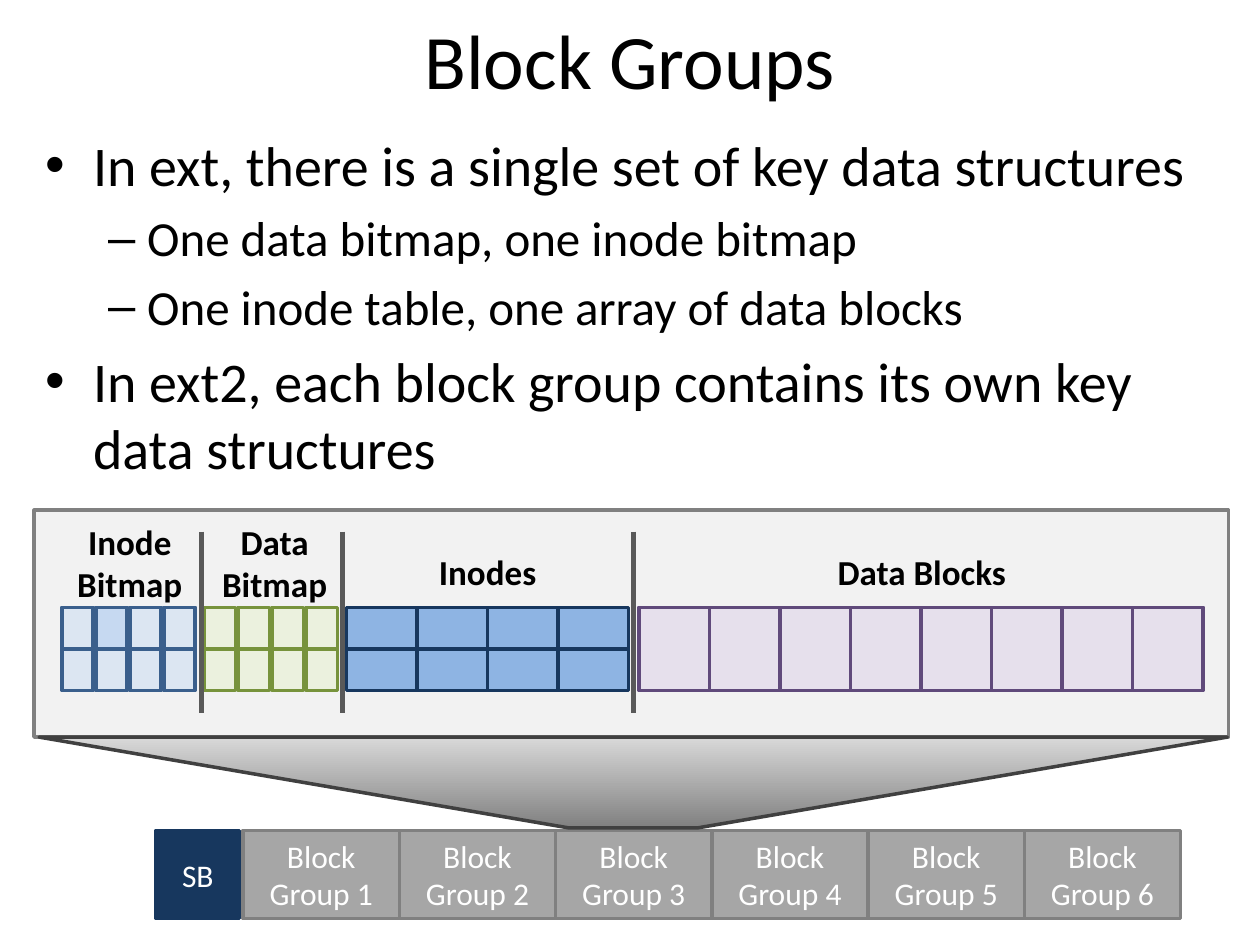
from dataclasses import dataclass
from typing import Optional

from lxml import etree
from pptx import Presentation
from pptx.dml.color import RGBColor
from pptx.enum.shapes import MSO_CONNECTOR as Connector, MSO_SHAPE as Shape
from pptx.enum.text import MSO_ANCHOR as Anchor, PP_ALIGN as Align
from pptx.oxml.ns import qn
from pptx.util import Inches, Pt

FONT = "Calibri"
COLORS = {
    "black": "000000", "white": "FFFFFF", "navy": "17375E",
    "panel": "F2F2F2", "gray": "808080", "block": "A6A6A6",
    "light_gray": "D9D9D9", "dark_gray": "404040", "divider": "595959",
    "inode_bit": "DCE6F2", "used_bit": "C6D9F1", "inode_bit_line": "3A5F8C",
    "data_bit": "EBF1DE", "data_bit_line": "77933C",
    "inode": "8EB4E3", "data": "E6E0EC", "data_line": "604A7B",
}


@dataclass
class Section:
    label: list[str]
    label_left: float
    label_top: float
    label_width: float
    left: float
    columns: int
    rows: int
    pitch: float
    cell_width: float
    fill: str
    line: str
    used_column: Optional[int] = None


@dataclass
class Bullet:
    text: str
    level: int = 0


@dataclass
class BulletStyle:
    mark: str
    size: int
    indent: float
    hanging: float


SECTIONS = [
    Section(["Inode", "Bitmap"], 0.51, 4.08, 1.04, 0.49, 4, 2, 0.27, 0.25,
            "inode_bit", "inode_bit_line", used_column=1),
    Section(["Data", "Bitmap"], 1.66, 4.08, 1.04, 1.62, 4, 2, 0.27, 0.25,
            "data_bit", "data_bit_line"),
    Section(["Inodes"], 3.38, 4.32, 0.98, 2.75, 4, 2, 0.56, 0.56, "inode", "navy"),
    Section(["Data Blocks"], 6.54, 4.32, 1.55, 5.07, 8, 1, 0.56, 0.56,
            "data", "data_line"),
]
BULLETS = [
    Bullet("In ext, there is a single set of key data structures"),
    Bullet("One data bitmap, one inode bitmap", 1),
    Bullet("One inode table, one array of data blocks", 1),
    Bullet("In ext2, each block group contains its own key data structures"),
]
BULLET_STYLES = [BulletStyle("•", 32, 0.38, 0.38), BulletStyle("–", 28, 0.81, 0.31)]
DIVIDERS = [1.6, 2.72, 5.03]
CELLS_TOP, CELLS_HEIGHT = 4.82, 0.66
BLOCKS_TOP, BLOCK_HEIGHT, BLOCK_WIDTH = 6.59, 0.7, 1.24


def rgb(name: str) -> RGBColor:
    return RGBColor.from_string(COLORS[name])


def add_span(para, text: str, size: int, color: str = "black", bold: bool = False) -> None:
    span = para.add_run()
    span.text = text
    span.font.name = FONT
    span.font.size = Pt(size)
    span.font.bold = bold
    span.font.color.rgb = rgb(color)


def add_box(page, left: float, top: float, width: float, height: float,
            fill: str, line: str, text: str = "", kind=Shape.RECTANGLE):
    box = page.shapes.add_shape(kind, Inches(left), Inches(top),
                                Inches(width), Inches(height))
    box.shadow.inherit = False
    box.fill.solid()
    box.fill.fore_color.rgb = rgb(fill)
    box.line.color.rgb = rgb(line)
    box.line.width = Pt(2)
    if text:
        box.text_frame.word_wrap = True
        box.text_frame.vertical_anchor = Anchor.MIDDLE
        para = box.text_frame.paragraphs[0]
        para.alignment = Align.CENTER
        add_span(para, text, 18, "white")
    return box


def add_section(page, section: Section) -> None:
    cell_height = CELLS_HEIGHT / section.rows
    for row in range(section.rows):
        for column in range(section.columns):
            used = row == 0 and column == section.used_column
            add_box(page, section.left + column * section.pitch,
                    CELLS_TOP + row * cell_height, section.cell_width, cell_height,
                    "used_bit" if used else section.fill, section.line)
    label = page.shapes.add_textbox(
        Inches(section.label_left), Inches(section.label_top),
        Inches(section.label_width), Inches(0.36 if len(section.label) == 1 else 0.64))
    frame = label.text_frame
    frame.word_wrap = False
    for index, text in enumerate(section.label):
        para = frame.add_paragraph() if index else frame.paragraphs[0]
        para.alignment = Align.CENTER
        add_span(para, text, 20, bold=True)


def add_divider(page, x: float) -> None:
    line = page.shapes.add_connector(Connector.STRAIGHT, Inches(x), Inches(4.22),
                                     Inches(x), Inches(5.66))
    line.line.color.rgb = rgb("divider")
    line.line.width = Pt(3)
    etree.SubElement(line._element.spPr, qn("a:effectLst"))


def add_funnel(page) -> None:
    funnel = add_box(page, 0.31, 5.85, 9.43, 0.72, "gray", "dark_gray",
                     kind=Shape.TRAPEZOID)
    funnel.rotation = 180
    funnel.adjustments[0] = 5.833
    funnel.fill.gradient()
    funnel.fill.gradient_angle = 270
    for stop, color, position in zip(funnel.fill.gradient_stops,
                                     ("gray", "light_gray"), (0, 1)):
        stop.color.rgb = rgb(color)
        stop.position = position


def add_title(page, text: str) -> None:
    title = page.shapes.title
    title.left, title.top = Inches(0.5), Inches(0)
    title.width, title.height = Inches(9), Inches(0.93)
    title.text_frame.vertical_anchor = Anchor.MIDDLE
    para = title.text_frame.paragraphs[0]
    para.alignment = Align.CENTER
    add_span(para, text, 44)


def add_bullets(page, bullets: list[Bullet]) -> None:
    body = page.shapes.add_textbox(Inches(0.26), Inches(0.99), Inches(9.49), Inches(2.97))
    frame = body.text_frame
    frame.word_wrap = True
    for index, bullet in enumerate(bullets):
        style = BULLET_STYLES[bullet.level]
        para = frame.add_paragraph() if index else frame.paragraphs[0]
        para.level = bullet.level
        if index:
            para.space_before = Pt(style.size * 0.2)
        props = para._p.get_or_add_pPr()
        props.set("marL", str(Inches(style.indent)))
        props.set("indent", str(-Inches(style.hanging)))
        etree.SubElement(props, qn("a:buFont"), typeface="Arial")
        etree.SubElement(props, qn("a:buChar"), char=style.mark)
        add_span(para, bullet.text, style.size)


def main() -> None:
    deck = Presentation()
    deck.slide_width, deck.slide_height = Inches(10), Inches(7.5)
    page = deck.slides.add_slide(deck.slide_layouts[5])
    add_title(page, "Block Groups")
    add_bullets(page, BULLETS)
    add_box(page, 1.24, BLOCKS_TOP, 0.66, BLOCK_HEIGHT, "navy", "navy", "SB")
    add_box(page, 0.27, 4.05, 9.48, 1.8, "panel", "gray")
    for section in SECTIONS:
        add_section(page, section)
    for x in DIVIDERS:
        add_divider(page, x)
    for index in range(6):
        add_box(page, 1.93 + index * BLOCK_WIDTH, BLOCKS_TOP, BLOCK_WIDTH, BLOCK_HEIGHT,
                "block", "gray", f"Block Group {index + 1}")
    add_funnel(page)
    deck.save("out.pptx")


if __name__ == "__main__":
    main()
